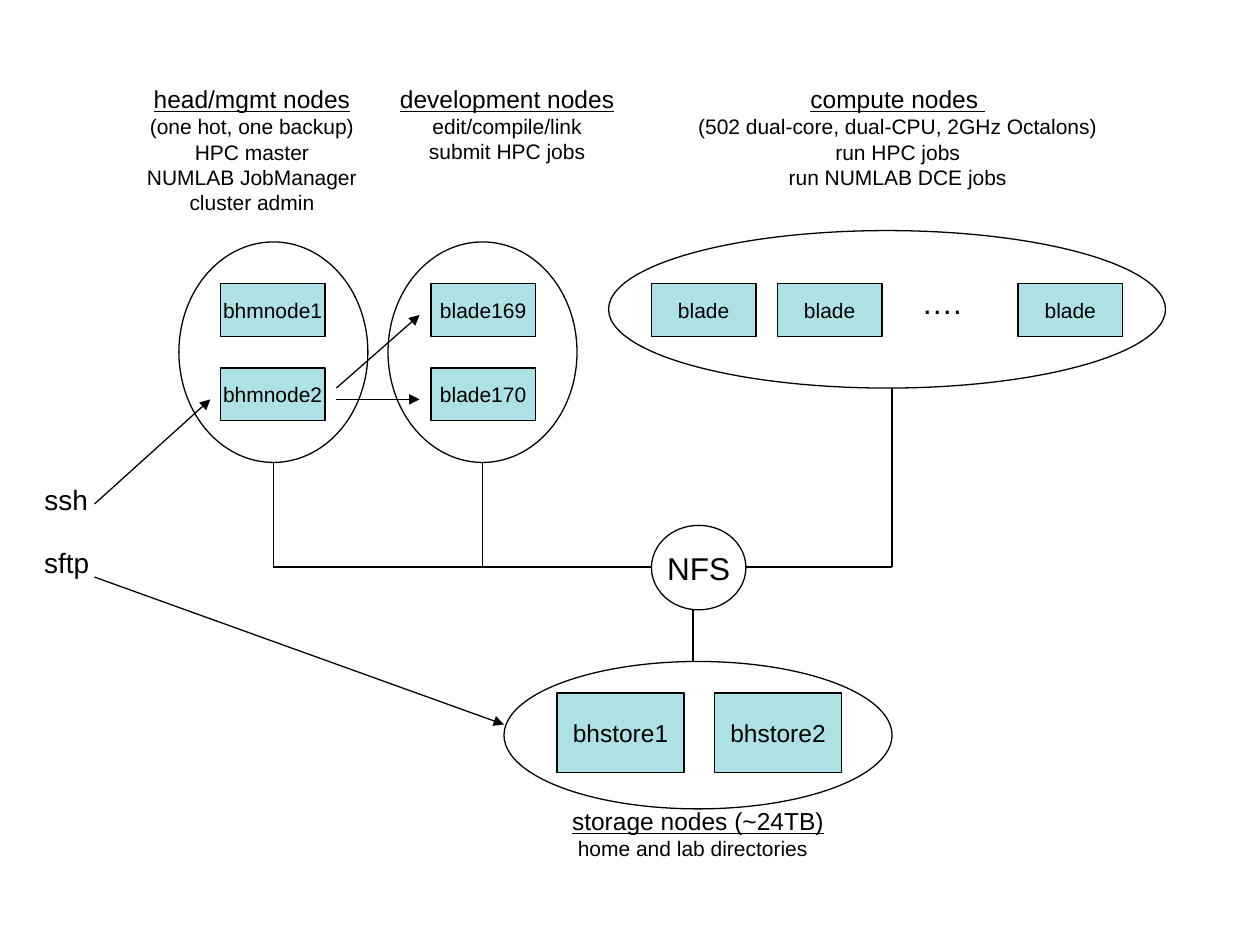
from pptx import Presentation
from pptx.dml.color import RGBColor
from pptx.enum.shapes import MSO_CONNECTOR as CONNECTOR, MSO_SHAPE as SHAPE
from pptx.enum.text import MSO_ANCHOR as ANCHOR, PP_ALIGN as ALIGN
from pptx.oxml import parse_xml
from pptx.oxml.ns import nsdecls
from pptx.util import Inches, Pt

BLACK = RGBColor(0, 0, 0)
TEAL = RGBColor(0xAE, 0xE1, 0xE4)
LINE_WIDTH = Pt(0.75)
NODE_SIZE = (0.83, 0.42)
STORE_SIZE = (1.01, 0.63)
ROWS = (2.25, 2.92)
BUS_Y = 4.5

NODES = [
    ("bhmnode1", 1.75, ROWS[0]), ("bhmnode2", 1.75, ROWS[1]),
    ("blade169", 3.42, ROWS[0]), ("blade170", 3.42, ROWS[1]),
    ("blade", 5.17, ROWS[0]), ("blade", 6.17, ROWS[0]), ("blade", 8.08, ROWS[0]),
]
STORES = [("bhstore1", 4.42, 5.5), ("bhstore2", 5.67, 5.5)]
GROUPS = [(4.83, 1.83, 4.42, 1.25), (1.42, 1.92, 1.5, 1.75),
          (3.08, 1.92, 1.5, 1.75), (4, 5.25, 3.08, 1.17)]
HEADINGS = [
    ((0.96, 0.67, 2.08, 1.31), ALIGN.CENTER,
     ["head/mgmt nodes", "(one hot, one backup)", "HPC master",
      "NUMLAB JobManager", "cluster admin"]),
    ((3.13, 0.67, 1.79, 0.63), ALIGN.CENTER,
     ["development nodes", "edit/compile/link", "submit HPC jobs"]),
    ((5, 0.67, 4.25, 0.92), ALIGN.CENTER,
     ["compute nodes ", "(502 dual-core, dual-CPU, 2GHz Octalons)",
      "run HPC jobs", "run NUMLAB DCE jobs"]),
    ((4.5, 6.4, 2.5, 0.53), ALIGN.LEFT,
     ["storage nodes (~24TB)", " home and lab directories"]),
]
LABELS = [("….", (7.27, 2.25, 0.41, 0.3), 18), ("ssh", (0.31, 3.83, 0.43, 0.27), 16),
          ("sftp", (0.25, 4.33, 0.56, 0.6), 16)]
ARROWS = [((0.75, 4), (1.67, 3.17)), ((0.75, 4.58), (4, 5.75)),
          ((2.67, 3.08), (3.33, 2.5)), ((2.67, 3.17), (3.33, 3.17))]
LINKS = [((5.5, 4.83), (5.5, 5.25)), ((2.17, 3.67), (2.17, BUS_Y)),
         ((5.17, BUS_Y), (2.17, BUS_Y)), ((3.83, 3.67), (3.83, BUS_Y)),
         ((5.92, BUS_Y), (7.08, BUS_Y)), ((7.08, 3.08), (7.08, BUS_Y))]


def set_attributes(target, values):
    """Set each named attribute of the target."""
    for name, value in values.items():
        setattr(target, name, value)


def write_text(shape, lines, align=ALIGN.CENTER, anchor=ANCHOR.TOP, wrap=False):
    """Write (text, size, underline) lines into a shape."""
    frame = shape.text_frame
    set_attributes(frame, {
        "word_wrap": wrap, "vertical_anchor": anchor,
        "margin_left": Inches(0.04), "margin_right": Inches(0.04),
        "margin_top": 0, "margin_bottom": 0,
    })
    for index, (text, size, underline) in enumerate(lines):
        paragraph = frame.add_paragraph() if index else frame.paragraphs[0]
        paragraph.alignment = align
        run = paragraph.add_run()
        run.text = text
        set_attributes(run.font, {"name": "Arial", "size": Pt(size), "underline": underline})
        run.font.color.rgb = BLACK


def add_outline(slide, kind, box, fill=None):
    """Add a black-outlined shape, filled only when a colour is given."""
    shape = slide.shapes.add_shape(kind, *map(Inches, box))
    shape.shadow.inherit = False
    if fill is None:
        shape.fill.background()
    else:
        shape.fill.solid()
        shape.fill.fore_color.rgb = fill
    shape.line.color.rgb = BLACK
    shape.line.width = LINE_WIDTH
    return shape


def add_node(slide, name, left, top, size, points):
    """Add a teal box with a centred machine name."""
    shape = add_outline(slide, SHAPE.RECTANGLE, (left, top, *size), TEAL)
    write_text(shape, [(name, points, False)], anchor=ANCHOR.MIDDLE)


def add_text(slide, box, lines, align=ALIGN.CENTER):
    """Add a wrapped text box."""
    shape = slide.shapes.add_textbox(*map(Inches, box))
    write_text(shape, lines, align, wrap=True)


def add_heading(slide, box, align, texts):
    """Add an underlined heading followed by smaller detail lines."""
    title, *details = texts
    add_text(slide, box, [(title, 14, True)] + [(text, 12, False) for text in details], align)


def add_line(slide, start, end, arrow=False):
    """Add a straight line with an optional arrowhead at its end."""
    line = slide.shapes.add_connector(CONNECTOR.STRAIGHT, *map(Inches, start + end))
    line.line.color.rgb = BLACK
    line.line.width = LINE_WIDTH
    if arrow:
        line.line._get_or_add_ln().append(
            parse_xml(f'<a:tailEnd {nsdecls("a")} type="triangle"/>'))
    line._element.spPr.append(parse_xml(f'<a:effectLst {nsdecls("a")}/>'))


def main():
    """Build the cluster diagram and save it."""
    presentation = Presentation()
    set_attributes(presentation, {"slide_width": Inches(10), "slide_height": Inches(7.5)})
    slide = presentation.slides.add_slide(presentation.slide_layouts[6])
    for node in NODES:
        add_node(slide, *node, NODE_SIZE, 12)
    for store in STORES:
        add_node(slide, *store, STORE_SIZE, 14)
    for box in GROUPS:
        add_outline(slide, SHAPE.OVAL, box)
    for heading in HEADINGS:
        add_heading(slide, *heading)
    for text, box, size in LABELS:
        add_text(slide, box, [(text, size, False)])
    for start, end in ARROWS:
        add_line(slide, start, end, arrow=True)
    hub = add_outline(slide, SHAPE.OVAL, (5.17, 4.17, 0.75, 0.67))
    write_text(hub, [("NFS", 18, False)], anchor=ANCHOR.MIDDLE)
    for start, end in LINKS:
        add_line(slide, start, end)
    presentation.save("out.pptx")


if __name__ == "__main__":
    main()
